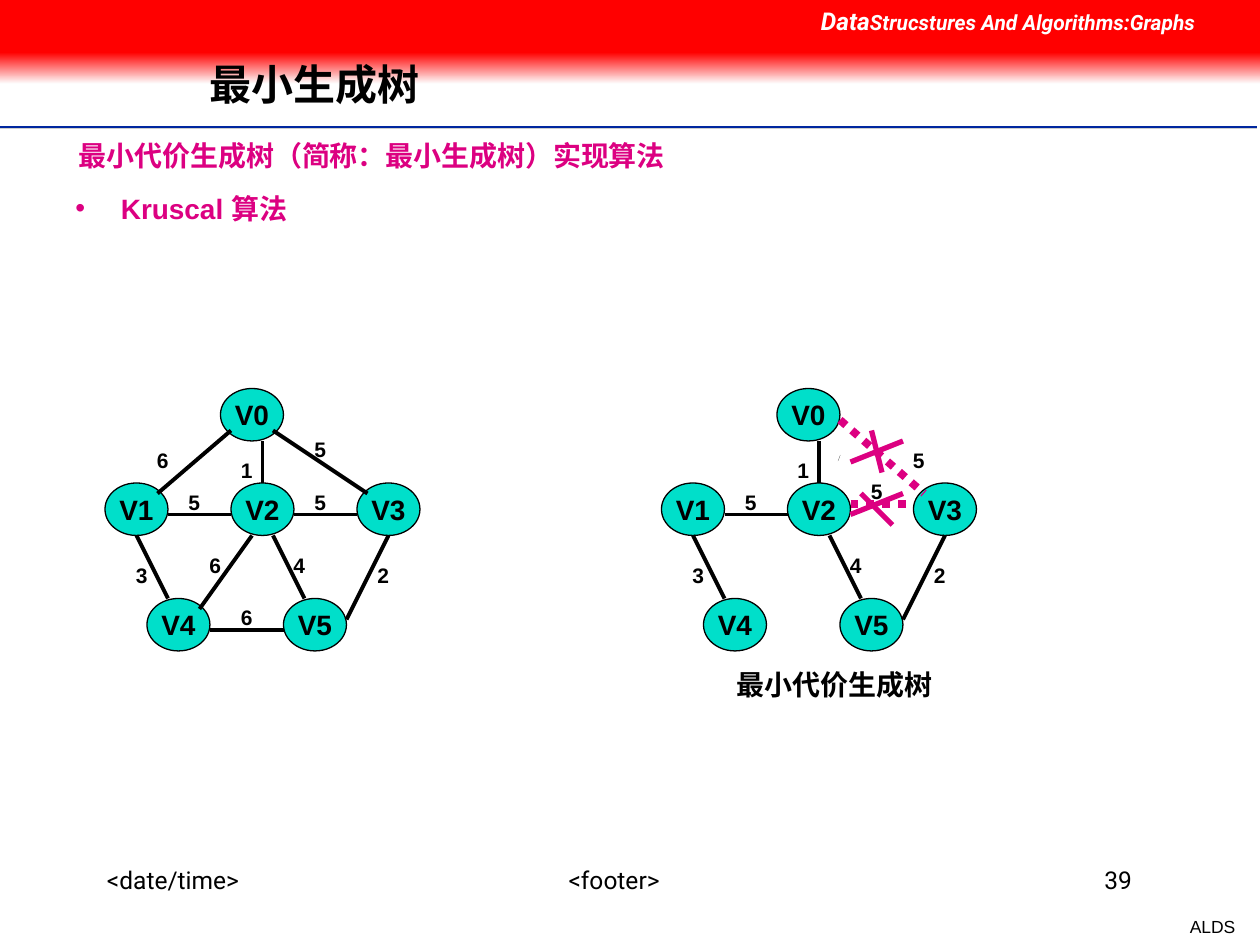
from dataclasses import dataclass
from lxml import etree
from pptx import Presentation
from pptx import util as u
from pptx.dml.color import RGBColor
from pptx.enum import dml, shapes, text
from pptx.oxml.ns import qn

Pt = u.Pt
LEFT, CENTER, RIGHT = text.PP_ALIGN.LEFT, text.PP_ALIGN.CENTER, text.PP_ALIGN.RIGHT


@dataclass(frozen=True)
class Theme:
    black: str = "000000"
    white: str = "FFFFFF"
    red: str = "FF0000"
    fade: str = "FEFEFE"
    accent: str = "DC0081"
    node: str = "00DFCA"
    rule: str = "00279F"
    rule_shade: str = "CECECE"
    body_font: str = "Arial"
    frame_font: str = "Roboto"
    title: int = 24
    body: int = 16
    footer: int = 14
    label: int = 12
    small: int = 10


T = Theme()
NODE_W, NODE_H = 36, 30
TREE_SHIFT = 318  # distance from the graph to its spanning tree
NODES = {"V0": (126, 222), "V1": (60, 276), "V2": (132, 276),
         "V3": (204, 276), "V4": (84, 342), "V5": (162, 342)}

# Each edge: start, end, weight, top left of the weight's box
TREE_EDGES = [
    ((96, 294), (132, 294), "5", (96, 276)),
    ((150, 252), (150, 276), "1", (126, 258)),
    ((78, 306), (96, 342), "3", (66, 318)),
    ((156, 306), (174, 342), "4", (156, 312)),
    ((198, 354), (222, 306), "2", (204, 318)),
]
OTHER_EDGES = [
    ((168, 294), (204, 294), "5", (168, 276)),
    ((114, 348), (144, 306), "6", (108, 312)),
    ((120, 360), (162, 360), "6", (126, 342)),
    ((90, 282), (132, 246), "6", (78, 252)),
    ((210, 282), (156, 246), "5", (168, 246)),
]
REJECTED_EDGES = [
    ((168, 288), (204, 288), "5", (168, 270)),
    ((162, 240), (210, 282), "5", (192, 252)),
]
CROSS_STROKES = [
    ((168, 264), (198, 252)), ((180, 246), (186, 270)),
    ((168, 294), (198, 282)), ((174, 282), (192, 300)),
]


def rgb(color):
    return RGBColor.from_string(color)


def add_run(p, words, size, color=T.black, font=T.body_font, bold=False, italic=False):
    r = p.add_run()
    r.text = words
    f = r.font
    f.size, f.name, f.bold, f.italic = Pt(size), font, bold, italic
    f.color.rgb = rgb(color)


def add_text(s, x, y, w, h, runs, align=LEFT, anchor=text.MSO_ANCHOR.TOP):
    """Add a one-paragraph box; each run is (words, options for add_run)."""
    tf = s.shapes.add_textbox(Pt(x), Pt(y), Pt(w), Pt(h)).text_frame
    tf.word_wrap, tf.vertical_anchor = True, anchor
    p = tf.paragraphs[0]
    p.alignment = align
    for words, options in runs:
        add_run(p, words, **options)
    return p


def set_indent(p, left, first=0):
    pPr = p._p.get_or_add_pPr()
    pPr.set("marL", str(Pt(left)))
    pPr.set("indent", str(Pt(first)))
    return pPr


def add_bullet(p, color, hang):
    pPr = set_indent(p, hang, -hang)
    clr = etree.SubElement(pPr, qn("a:buClr"))
    etree.SubElement(clr, qn("a:srgbClr")).set("val", color)
    etree.SubElement(pPr, qn("a:buFont")).set("typeface", T.body_font)
    etree.SubElement(pPr, qn("a:buChar")).set("char", "•")


def add_line(s, start, end, color=T.black, width=2.25, dash=None, dx=0):
    (x1, y1), (x2, y2) = start, end
    c = s.shapes.add_connector(shapes.MSO_CONNECTOR.STRAIGHT,
                               Pt(x1 + dx), Pt(y1), Pt(x2 + dx), Pt(y2))
    c.line.color.rgb = rgb(color)
    c.line.width = Pt(width)
    if dash:
        c.line.dash_style = dash
    etree.SubElement(c._element.spPr, qn("a:effectLst"))


def add_band(s, y, h):
    sp = s.shapes.add_shape(shapes.MSO_SHAPE.RECTANGLE, 0, Pt(y), Pt(720), Pt(h))
    sp.shadow.inherit = False
    sp.line.fill.background()
    return sp.fill


def add_node(s, name, x, y):
    sp = s.shapes.add_shape(shapes.MSO_SHAPE.OVAL, Pt(x), Pt(y), Pt(NODE_W), Pt(NODE_H))
    sp.shadow.inherit = False
    sp.fill.solid()
    sp.fill.fore_color.rgb = rgb(T.node)
    sp.line.color.rgb = rgb(T.black)
    sp.line.width = Pt(0.75)
    tf = sp.text_frame
    tf.word_wrap, tf.vertical_anchor = False, text.MSO_ANCHOR.MIDDLE
    p = tf.paragraphs[0]
    p.alignment = CENTER
    add_run(p, name, T.body, bold=True)


def add_edges(s, edges, dx=0, **style):
    for start, end, weight, (x, y) in edges:
        add_line(s, start, end, dx=dx, **style)
        add_text(s, x + dx, y, 30, 21.6, [(weight, dict(size=T.label, bold=True))], CENTER)


def add_nodes(s, dx=0):
    for name, (x, y) in NODES.items():
        add_node(s, name, x + dx, y)


def add_speck(s):
    """Add the tiny sliver beside the rejected edge."""
    fb = s.shapes.build_freeform(Pt(478.8), Pt(263.5))
    fb.add_line_segments([(Pt(480.2), Pt(259.9)), (Pt(479.5), Pt(262))])
    sp = fb.convert_to_shape()
    sp.shadow.inherit = False
    sp.fill.solid()
    sp.fill.fore_color.rgb = rgb(T.black)
    sp.line.fill.background()


def add_frame(s):
    """Add the header band, the rules and the footer."""
    for y, color, width in ((72.75, T.rule_shade, 2), (72.75, T.rule, 1), (74.2, T.white, 1)):
        add_line(s, (0, y), (718.5, y), color, width)
    add_text(s, 663, 520, 50, 19.4, [("ALDS", dict(size=T.small))], RIGHT)
    for x, w, words, align in ((54, 138, "<date/time>", LEFT), (246, 210, "<footer>", CENTER),
                               (516, 138, "39", RIGHT)):
        add_text(s, x, 490.5, w, 36, [(words, dict(size=T.footer, font=T.frame_font))], align)
    fade = add_band(s, 30, 18)
    fade.gradient()
    fade.gradient_angle = 270
    for stop, color, position in zip(fade.gradient_stops, (T.red, T.fade), (0, 1)):
        stop.color.rgb = rgb(color)
        stop.position = position
    solid = add_band(s, 0, 30)
    solid.solid()
    solid.fore_color.rgb = rgb(T.red)
    style = dict(color=T.white, font=T.frame_font, bold=True, italic=True)
    add_text(s, 462, 0, 258, 24.5,
             [("Data", dict(size=T.footer, **style)),
              ("Strucstures And Algorithms:Graphs", dict(size=T.label, **style))])


def add_headings(s):
    p = add_text(s, 112.5, 23, 543.5, 53.5, [("最小生成树", dict(size=T.title, bold=True))],
                 anchor=text.MSO_ANCHOR.MIDDLE)
    p.line_spacing = 0.9
    style = dict(size=T.body, color=T.accent, bold=True)
    p = add_text(s, 2, 75.6, 400, 26.6, [("最小代价生成树（简称：最小生成树）实现算法", style)])
    set_indent(p, 36)
    p = add_text(s, 36, 105.8, 192, 26.6, [("Kruscal 算法", style)])
    add_bullet(p, T.accent, 26)


def main():
    prs = Presentation()
    prs.slide_width, prs.slide_height = Pt(720), Pt(540)
    s = prs.slides.add_slide(prs.slide_layouts[6])
    add_frame(s)
    add_headings(s)
    add_nodes(s)
    add_edges(s, TREE_EDGES + OTHER_EDGES)
    add_text(s, 408, 378, 138, 26.6, [("最小代价生成树", dict(size=T.body, bold=True))], CENTER)
    add_nodes(s, TREE_SHIFT)
    add_edges(s, TREE_EDGES, TREE_SHIFT)
    add_edges(s, REJECTED_EDGES, TREE_SHIFT, color=T.accent, width=4.5,
              dash=dml.MSO_LINE.ROUND_DOT)
    add_speck(s)
    for start, end in CROSS_STROKES:
        add_line(s, start, end, T.accent, 3, dx=TREE_SHIFT)
    prs.save("out.pptx")


if __name__ == "__main__":
    main()
